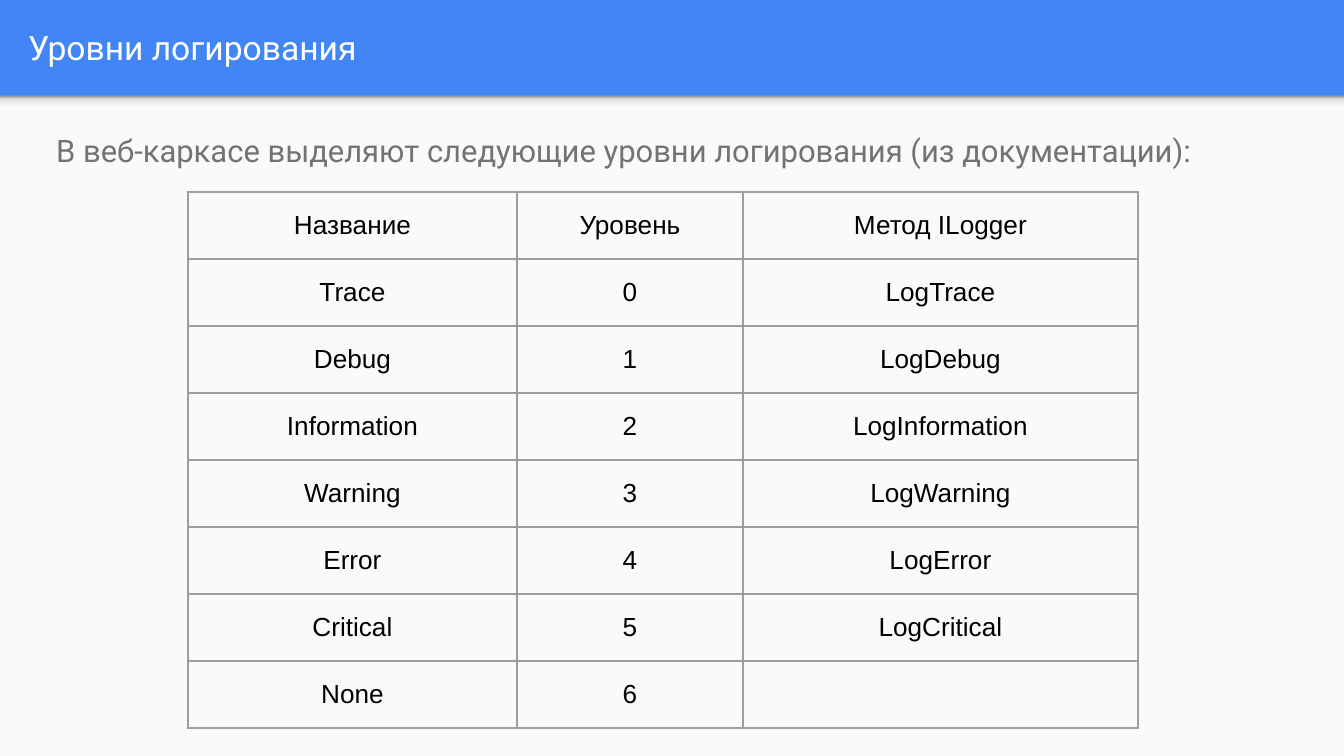
"""Build a slide that lists the logging levels in a table."""
from lxml import etree
from pptx import Presentation
from pptx import util as u
from pptx.dml.color import RGBColor
from pptx.enum import shapes, text
from pptx.oxml import ns

TITLE = "Уровни логирования"
INTRO = "В веб-каркасе выделяют следующие уровни логирования (из документации):"
HEADER = ("Название", "Уровень", "Метод ILogger")
LEVELS = ["Trace", "Debug", "Information", "Warning", "Error", "Critical", "None"]
COLORS = {
    "header": "4285F4", "body": "FAFAFA", "title": "FFFFFF",
    "intro": "737373", "cell": "000000", "border": "9E9E9E",
}
SHADOW_STOPS = [(0, "F9F9F9"), (36, "F9F9F9"), (80, "DEDEDE"), (100, "999999")]
WIDTH, HEIGHT, HEADER_HEIGHT, SHADOW_HEIGHT = 1344, 756, 96, 16
TABLE_LEFT, TABLE_TOP, ROW_HEIGHT = 188, 192, 67
COLUMN_WIDTHS = [329, 226, 395]
INSET = u.Inches(0.1)


def px(value):
    return u.Emu(round(value * 914400 / 134.4))


def rgb(name):
    return RGBColor.from_string(COLORS[name])


def add_colored(parent, tag, color, **attributes):
    element = etree.SubElement(parent, ns.qn(tag), **attributes)
    etree.SubElement(element, ns.qn("a:srgbClr"), val=color)
    return element


def add_band(page, top, height):
    band = page.shapes.add_shape(
        shapes.MSO_SHAPE.RECTANGLE, 0, px(top), px(WIDTH), px(height))
    band.shadow.inherit = False
    band.line.fill.background()
    return band


def add_shadow(page):
    band = add_band(page, HEADER_HEIGHT, SHADOW_HEIGHT)
    band.fill.gradient()
    band.fill.gradient_angle = 90
    stops = band.element.spPr.find(".//" + ns.qn("a:gsLst"))
    for stop in list(stops):
        stops.remove(stop)
    for position, color in SHADOW_STOPS:
        add_colored(stops, "a:gs", color, pos=str(position * 1000))


def style_paragraph(para, size, font, color):
    for item in (para, *para.runs):
        item.font.size = u.Pt(size)
        item.font.name = font
        item.font.color.rgb = rgb(color)


def add_text(page, words, place, size, color, anchor):
    box = page.shapes.add_textbox(*map(px, place))
    frame = box.text_frame
    frame.word_wrap = True
    frame.vertical_anchor = anchor
    frame.margin_left = frame.margin_right = INSET
    frame.margin_top = frame.margin_bottom = INSET
    frame.text = words
    style_paragraph(frame.paragraphs[0], size, "Roboto", color)
    return frame.paragraphs[0]


def style_cell(cell, words):
    cell.text_frame.text = words
    cell.vertical_anchor = text.MSO_ANCHOR.MIDDLE
    cell.margin_left = cell.margin_right = INSET
    cell.margin_top = cell.margin_bottom = INSET
    para = cell.text_frame.paragraphs[0]
    para.alignment = text.PP_ALIGN.CENTER
    style_paragraph(para, 14, "Arial", "cell")
    properties = cell._tc.get_or_add_tcPr()
    for side in "LRTB":
        line = etree.SubElement(properties, ns.qn("a:ln" + side), w=str(u.Pt(0.75)))
        add_colored(line, "a:solidFill", COLORS["border"])
    cell.fill.background()


def add_levels(page):
    rows = [HEADER] + [
        (name, str(level), "" if name == "None" else "Log" + name)
        for level, name in enumerate(LEVELS)]
    table = page.shapes.add_table(
        len(rows), len(HEADER), px(TABLE_LEFT), px(TABLE_TOP),
        px(sum(COLUMN_WIDTHS)), px(ROW_HEIGHT * len(rows))).table
    table.first_row = table.horz_banding = False
    for column, width in zip(table.columns, COLUMN_WIDTHS):
        column.width = px(width)
    for row, values in zip(table.rows, rows):
        row.height = px(ROW_HEIGHT)
        for cell, words in zip(row.cells, values):
            style_cell(cell, words)


def main():
    deck = Presentation()
    deck.slide_width, deck.slide_height = px(WIDTH), px(HEIGHT)
    page = deck.slides.add_slide(deck.slide_layouts[6])
    page.background.fill.solid()
    page.background.fill.fore_color.rgb = rgb("header")
    panel = add_band(page, HEADER_HEIGHT, HEIGHT - HEADER_HEIGHT)
    panel.fill.solid()
    panel.fill.fore_color.rgb = rgb("body")
    add_shadow(page)
    add_text(page, TITLE, (15, 3, 1297, 89), 18, "title", text.MSO_ANCHOR.MIDDLE)
    intro = add_text(
        page, INTRO, (43, 113, 1208, 78), 16.6, "intro", text.MSO_ANCHOR.TOP)
    intro.line_spacing = 1.15
    intro.space_after = u.Pt(12)
    add_levels(page)
    deck.save("out.pptx")


if __name__ == "__main__":
    main()
